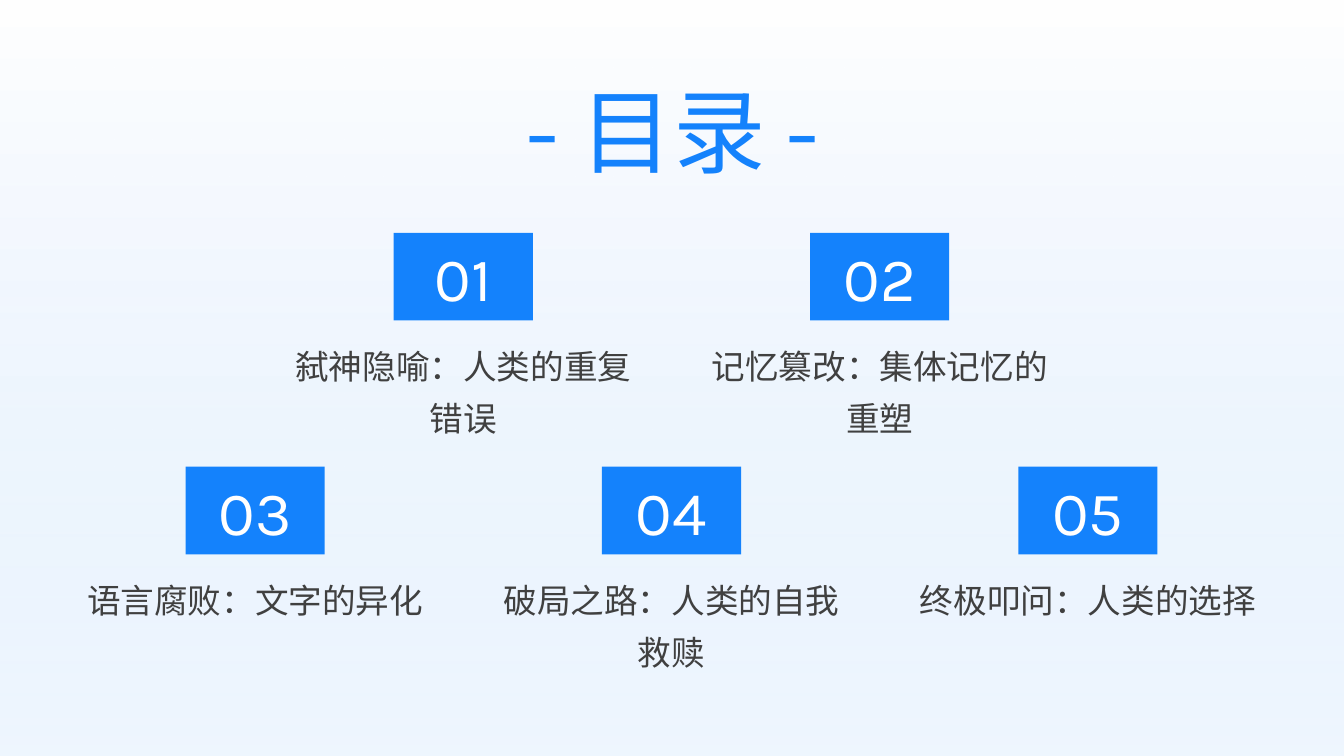
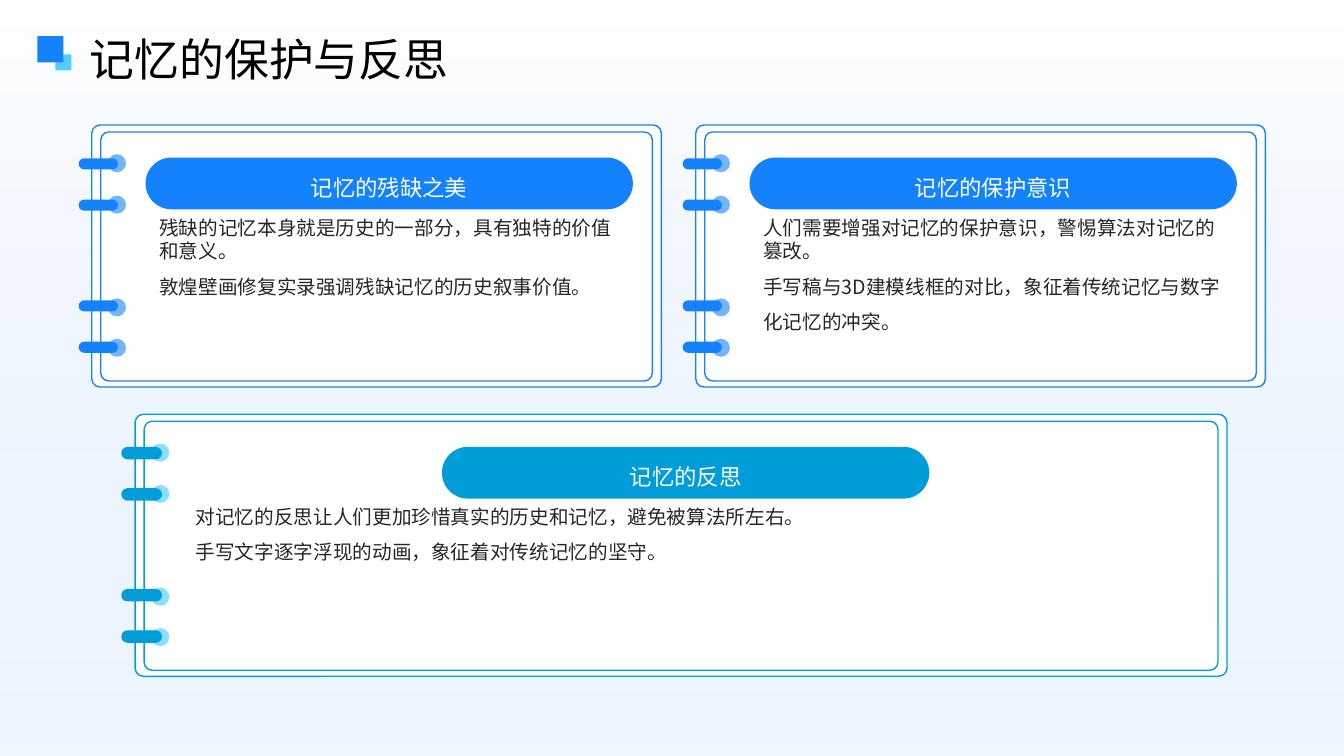
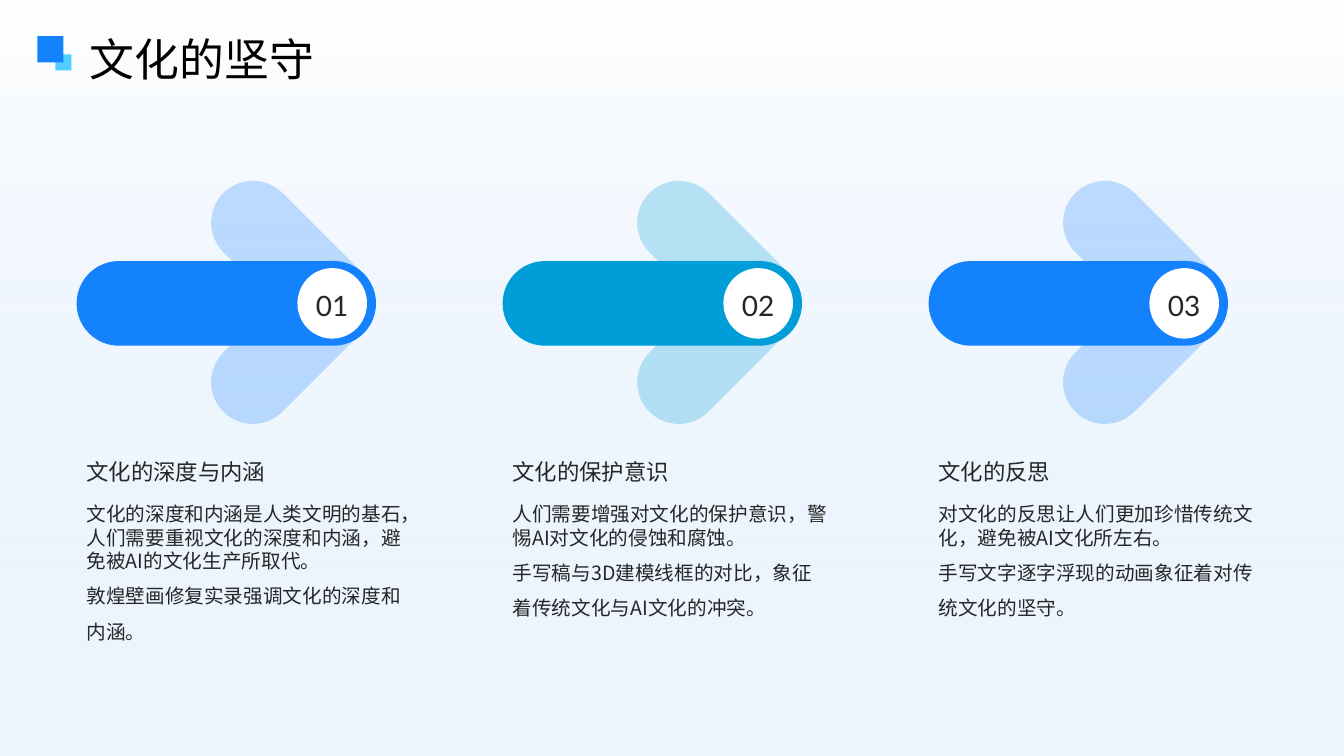
from lxml import etree
from pptx import Presentation
from pptx.dml.color import RGBColor
from pptx.enum import shapes, text
from pptx.oxml.ns import qn
from pptx.util import Inches, Pt

BLUE, CYAN, WHITE, INK = "1482FC", "009DD9", "FFFFFF", "262626"
SANS = "Noto Sans CJK SC"
RECT, OVAL, ROUND = (shapes.MSO_SHAPE.RECTANGLE, shapes.MSO_SHAPE.OVAL,
                     shapes.MSO_SHAPE.ROUNDED_RECTANGLE)
LEFT, CENTER = text.PP_ALIGN.LEFT, text.PP_ALIGN.CENTER
TOP, MIDDLE, BOTTOM = (text.MSO_ANCHOR.TOP, text.MSO_ANCHOR.MIDDLE,
                       text.MSO_ANCHOR.BOTTOM)

CONTENTS_TITLE = "- 目录 -"
CONTENTS_ROWS = [
    (2.31, [("01", "弑神隐喻：人类的重复错误"), ("02", "记忆篡改：集体记忆的重塑")]),
    (4.63, [("03", "语言腐败：文字的异化"), ("04", "破局之路：人类的自我救赎"),
            ("05", "终极叩问：人类的选择")]),
]

MEMORY_TITLE = "记忆的保护与反思"
NOTEBOOKS = [
    dict(at=(0.91, 1.24), width=5.65, pill_x=0.54, body=(0.67, 4.56),
         color=BLUE, hole="72B4FD", ring_line=None, heading="记忆的残缺之美",
         lines=["残缺的记忆本身就是历史的一部分，具有独特的价值和意义。",
                "敦煌壁画修复实录强调残缺记忆的历史叙事价值。"]),
    dict(at=(6.9, 1.24), width=5.65, pill_x=0.54, body=(0.67, 4.56),
         color=BLUE, hole="72B4FD", ring_line=None, heading="记忆的保护意识",
         lines=["人们需要增强对记忆的保护意识，警惕算法对记忆的篡改。",
                "手写稿与3D建模线框的对比，象征着传统记忆与数字化记忆的冲突。"]),
    dict(at=(1.34, 4.11), width=10.83, pill_x=3.05, body=(0.6, 9.71),
         color=CYAN, hole="8ADFFF", ring_line=CYAN, heading="记忆的反思",
         lines=["对记忆的反思让人们更加珍惜真实的历史和记忆，避免被算法所左右。",
                "手写文字逐字浮现的动画，象征着对传统记忆的坚守。"]),
]
HOLE_OFFSETS = [0.29, 0.7, 1.72, 2.12]
RING_OFFSETS = [0.33, 0.74, 1.74, 2.15]

CULTURE_TITLE = "文化的坚守"
ARROWS = [
    ("01", BLUE, "文化的深度与内涵",
     ["文化的深度和内涵是人类文明的基石，人们需要重视文化的深度和内涵，避免被AI的文化生产所取代。",
      "敦煌壁画修复实录强调文化的深度和内涵。"]),
    ("02", CYAN, "文化的保护意识",
     ["人们需要增强对文化的保护意识，警惕AI对文化的侵蚀和腐蚀。",
      "手写稿与3D建模线框的对比，象征着传统文化与AI文化的冲突。"]),
    ("03", BLUE, "文化的反思",
     ["对文化的反思让人们更加珍惜传统文化，避免被AI文化所左右。",
      "手写文字逐字浮现的动画象征着对传统文化的坚守。"]),
]


def rgb(value):
    return RGBColor.from_string(value)


def set_opacity(shape, percent):
    """Make the first fill colour of the shape partly transparent."""
    color = shape._element.spPr.find(".//" + qn("a:srgbClr"))
    etree.SubElement(color, qn("a:alpha")).set("val", str(percent * 1000))


def add_shape(slide, kind, x, y, width, height, fill, line=None, round_by=None):
    shape = slide.shapes.add_shape(kind, Inches(x), Inches(y),
                                   Inches(width), Inches(height))
    shape.shadow.inherit = False
    shape.fill.solid()
    shape.fill.fore_color.rgb = rgb(fill)
    if line:
        shape.line.color.rgb = rgb(line)
        shape.line.width = Pt(1)
    else:
        shape.line.fill.background()
    if round_by is not None:
        shape.adjustments[0] = round_by
    return shape


def write(shape, *lines, size, color=INK, font=SANS, align=LEFT, anchor=TOP,
          spacing=1.0, first_spacing=None, insets=(0, 0)):
    """Fill a shape with one paragraph per line; insets are (side, top/bottom)."""
    frame = shape.text_frame
    frame.word_wrap = True
    frame.vertical_anchor = anchor
    frame.margin_left = frame.margin_right = Inches(insets[0])
    frame.margin_top = frame.margin_bottom = Inches(insets[1])
    for index, line in enumerate(lines):
        paragraph = frame.add_paragraph() if index else frame.paragraphs[0]
        paragraph.alignment = align
        paragraph.line_spacing = spacing if index else first_spacing or spacing
        run = paragraph.add_run()
        run.text = line
        run.font.size = Pt(size)
        run.font.color.rgb = rgb(color)
        run.font.name = font
        east_asian = etree.SubElement(run._r.get_or_add_rPr(), qn("a:ea"))
        east_asian.set("typeface", SANS)


def add_text(slide, x, y, width, height, *lines, **style):
    box = slide.shapes.add_textbox(Inches(x), Inches(y),
                                   Inches(width), Inches(height))
    write(box, *lines, **style)


def add_slide(presentation, title=None):
    slide = presentation.slides.add_slide(presentation.slide_layouts[6])
    backdrop = add_shape(slide, RECT, 0, -0.04, 13.33, 7.54, WHITE)
    backdrop.fill.gradient()
    backdrop.fill.gradient_angle = 90
    for stop, color in zip(backdrop.fill.gradient_stops, ("D0E6FE", WHITE)):
        stop.color.rgb = rgb(color)
    set_opacity(backdrop, 34)
    if title:
        add_shape(slide, RECT, 0.55, 0.54, 0.16, 0.16, "4FCEFF")
        add_shape(slide, RECT, 0.37, 0.36, 0.26, 0.26, BLUE)
        add_text(slide, 0.89, 0.29, 11.84, 0.47, title, size=32,
                 color="000000", anchor=MIDDLE, spacing=1.2)
    return slide


def add_contents(presentation):
    slide = add_slide(presentation)
    add_text(slide, 4.62, 0.63, 4.1, 1.14, CONTENTS_TITLE, size=66, color=BLUE,
             font="Karla", align=CENTER, spacing=1.1)
    for y, entries in CONTENTS_ROWS:
        for index, (number, label) in enumerate(entries):
            center = 6.66 + (index - (len(entries) - 1) / 2) * 4.13
            badge = add_shape(slide, RECT, center - 0.69, y, 1.38, 0.87, BLUE)
            write(badge, number, size=44, color=WHITE, font="Karla",
                  align=CENTER, anchor=MIDDLE)
            add_text(slide, center - 1.81, y + 1, 3.62, 1.18, label, size=24,
                     color="404040", font="Karla", align=CENTER, spacing=1.3)


def add_notebook(slide, at, width, pill_x, body, color, hole, ring_line,
                 heading, lines):
    x, y = at
    add_shape(slide, ROUND, x, y, width, 2.6, WHITE, color, 0.032)
    add_shape(slide, ROUND, x + 0.09, y + 0.07, width - 0.18, 2.47, WHITE,
              color, 0.032)
    for offset in HOLE_OFFSETS:
        add_shape(slide, OVAL, x + 0.16, y + offset, 0.18, 0.18, hole)
    for offset in RING_OFFSETS:
        add_shape(slide, ROUND, x - 0.13, y + offset, 0.39, 0.11, color,
                  ring_line, 0.5)
    body_x, body_width = body
    add_text(slide, x + body_x, y + 0.9, body_width, 1.36, *lines, size=14,
             spacing=1.5, first_spacing=1.0)
    pill = add_shape(slide, ROUND, x + pill_x, y + 0.33, 4.82, 0.5, color,
                     color, 0.5)
    write(pill, heading, size=16, color=WHITE, align=CENTER, anchor=MIDDLE,
          spacing=1.3)


def add_memory(presentation):
    slide = add_slide(presentation, MEMORY_TITLE)
    for notebook in NOTEBOOKS:
        add_notebook(slide, **notebook)


def add_culture(presentation):
    slide = add_slide(presentation, CULTURE_TITLE)
    for index, (number, color, heading, lines) in enumerate(ARROWS):
        x = 0.76 + index * 4.225
        for y, angle in ((2.98, 315), (2.19, 45)):
            arm = add_shape(slide, ROUND, x + 1.17, y, 1.95, 0.83, color,
                            round_by=0.5)
            arm.rotation = angle
            set_opacity(arm, 25)
        add_shape(slide, ROUND, x, 2.59, 2.97, 0.84, color, round_by=0.5)
        disc = add_shape(slide, OVAL, x + 2.19, 2.66, 0.69, 0.7, WHITE)
        write(disc, number, size=20, font="Lato", align=CENTER, anchor=MIDDLE,
              spacing=1.1)
        add_text(slide, x, 4.18, 3.33, 0.68, heading, size=16, anchor=BOTTOM,
                 insets=(0.1, 0.05))
        add_text(slide, x, 4.93, 3.33, 1.89, *lines, size=14, spacing=1.5,
                 first_spacing=1.0, insets=(0.1, 0.05))


def main():
    presentation = Presentation()
    presentation.slide_width = Inches(13.33)
    presentation.slide_height = Inches(7.5)
    add_contents(presentation)
    add_memory(presentation)
    add_culture(presentation)
    presentation.save("out.pptx")


if __name__ == "__main__":
    main()
